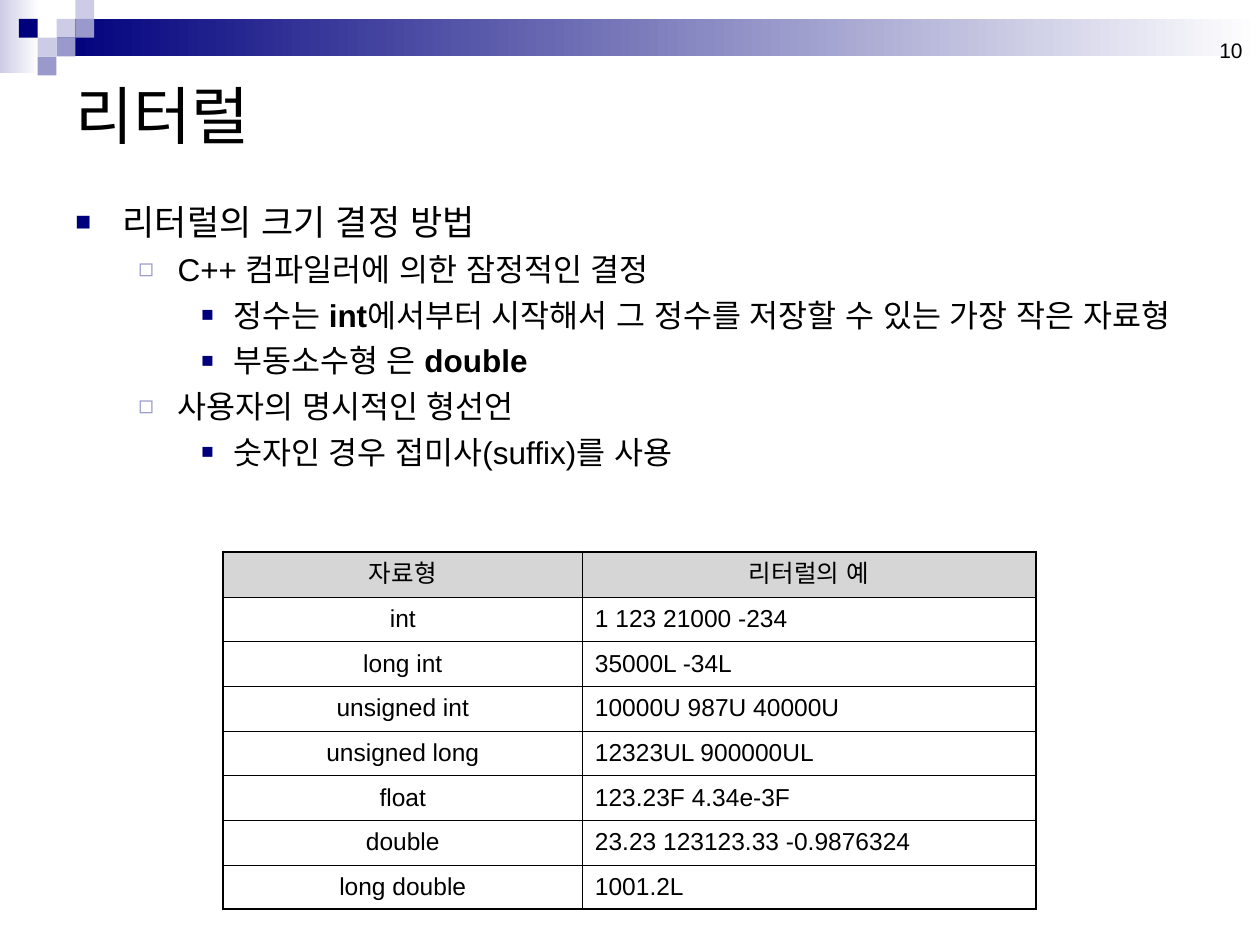
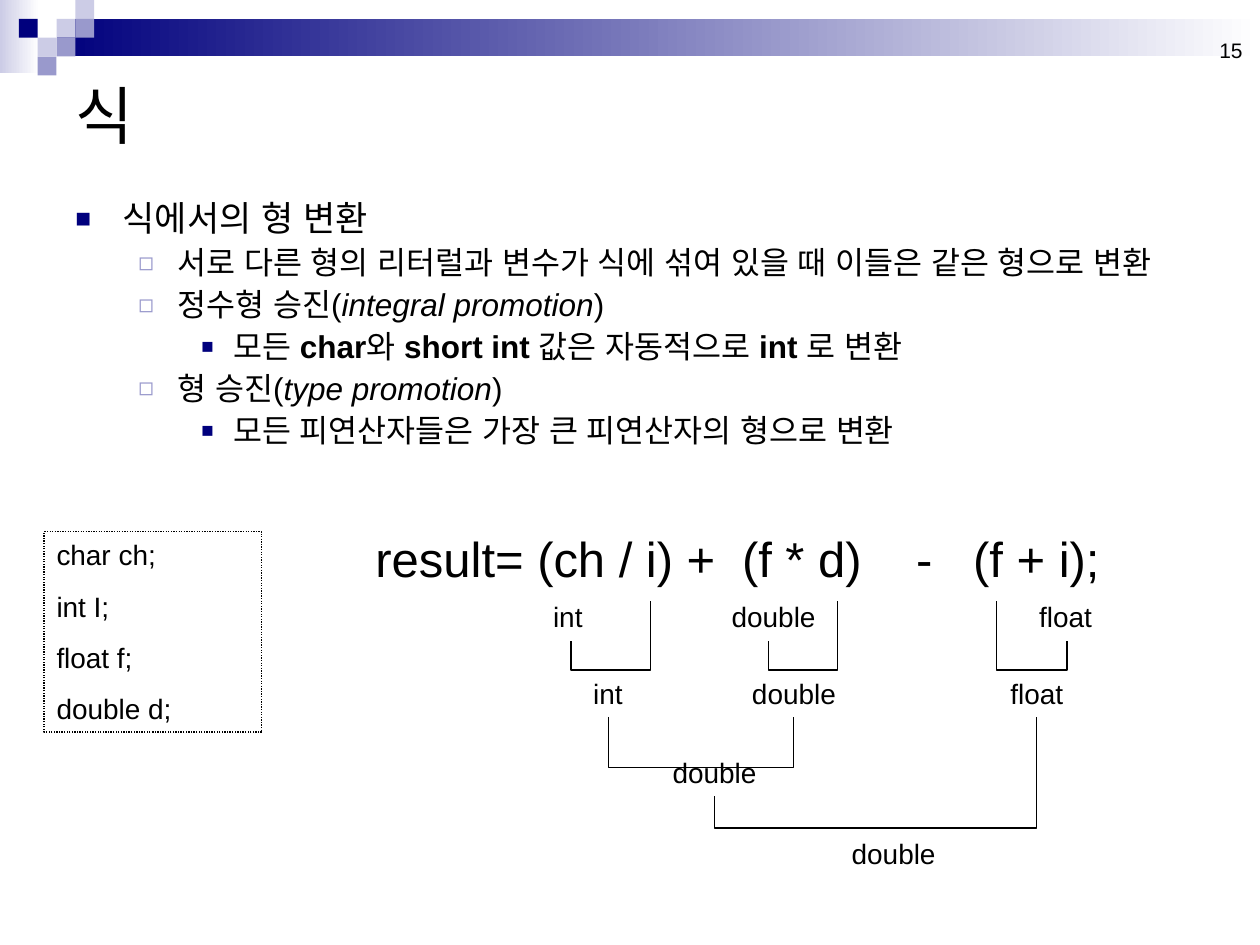
from lxml import etree
from pptx import Presentation
from pptx.dml.color import RGBColor
from pptx.enum.dml import MSO_LINE
from pptx.enum.shapes import MSO_SHAPE as SHAPE
from pptx.enum.text import MSO_ANCHOR as ANCHOR, MSO_AUTO_SIZE as AUTO, PP_ALIGN as ALIGN
from pptx.oxml.ns import qn
from pptx.util import Cm, Pt

# Shared style
BODY_FONT, TITLE_FONT = "Arial", "Noto Sans CJK KR"
BLACK, WHITE, NAVY = "000000", "FFFFFF", "00007D"
LILAC, PALE, GREY = "9999CC", "CCCCE6", "D6D6D6"
SQUARE = 0.38  # side of one corner square, cm
CORNER = [(3, 1, PALE), (4, 0, PALE), (4, 1, LILAC), (2, 2, PALE),
          (1, 1, NAVY), (3, 2, LILAC), (2, 3, LILAC)]  # column, row, colour
# Per level: size, space before, left margin, hanging, bullet, colour, bullet %
LEVELS = [(20, 5, 0.95, 0.95, "■", NAVY, 75),
          (18, 4.5, 2.06, 0.79, "◻", LILAC, 80),
          (18, 4.5, 3.18, 0.64, "■", NAVY, 65)]

# Slide content
LITERAL_POINTS = [
    (0, ["리터럴의 크기 결정 방법"]),
    (1, ["C++ 컴파일러에 의한 잠정적인 결정"]),
    (2, ["정수는 ", ("int", "b"),
         "에서부터 시작해서 그 정수를 저장할 수 있는 가장 작은 자료형"]),
    (2, ["부동소수형 은 ", ("double", "b")]),
    (1, ["사용자의 명시적인 형선언"]),
    (2, ["숫자인 경우 접미사(suffix)를 사용"]),
]
LITERAL_ROWS = [
    ("자료형", "리터럴의 예"),
    ("int", "1 123 21000 -234"),
    ("long int", "35000L -34L"),
    ("unsigned int", "10000U 987U 40000U"),
    ("unsigned long", "12323UL 900000UL"),
    ("float", "123.23F 4.34e-3F"),
    ("double", "23.23 123123.33 -0.9876324"),
    ("long double", "1001.2L"),
]
EXPRESSION_POINTS = [
    (0, ["식에서의 형 변환"]),
    (1, ["서로 다른 형의 리터럴과 변수가 식에 섞여 있을 때 이들은 같은 형으로 변환"]),
    (1, ["정수형 승진(", ("integral promotion", "i"), ")"]),
    (2, ["모든 ", ("char", "b"), "와 ", ("short int ", "b"),
         "값은 자동적으로 ", ("int ", "b"), "로 변환"]),
    (1, ["형 승진(", ("type promotion", "i"), ")"]),
    (2, ["모든 피연산자들은 가장 큰 피연산자의 형으로 변환"]),
]
DECLARATIONS = ["char ch;", "int I;", "float f;", "double d;"]
LABEL_WIDTH = {"int": 1.15, "double": 2.25, "float": 1.62}
TYPE_LABELS = [  # type, left, top
    ("int", 10.9, 11.96), ("double", 14.5, 11.96), ("float", 20.7, 11.96),
    ("int", 11.71, 13.51), ("double", 14.91, 13.51), ("float", 20.12, 13.51),
    ("double", 13.31, 15.11), ("double", 16.92, 16.74),
]
BRACKETS = [  # left, left top, bottom, right, right top
    (11.51, 12.93, 13.51, 13.11, 12.12),
    (15.49, 12.93, 13.51, 16.89, 12.12),
    (20.09, 12.12, 13.51, 21.51, 12.93),
    (12.27, 14.45, 15.47, 16.0, 14.45),
    (14.4, 16.05, 16.69, 20.9, 14.45),
]


def rgb(color):
    return RGBColor.from_string(color)


def box(*lengths):
    return [Cm(n) for n in lengths]


def sub(parent, tag, **attrs):
    el = etree.SubElement(parent, qn(tag))
    for name, value in attrs.items():
        el.set(name, str(value))
    return el


# Text
def add_run(p, text, size, style="", font=BODY_FONT):
    r = p.add_run()
    r.text = text
    f = r.font
    f.name, f.size, f.color.rgb = font, Pt(size), rgb(BLACK)
    f.bold, f.italic = style == "b", style == "i"
    sub(r._r.get_or_add_rPr(), "a:ea", typeface=font)


def add_text(s, at, text, size, font=BODY_FONT, align=ALIGN.LEFT,
             anchor=ANCHOR.TOP, wrap=True):
    tf = s.shapes.add_textbox(*box(*at)).text_frame
    tf.word_wrap, tf.vertical_anchor = wrap, anchor
    if not wrap:
        tf.auto_size = AUTO.SHAPE_TO_FIT_TEXT
    p = tf.paragraphs[0]
    p.alignment = align
    add_run(p, text, size, font=font)
    return p


def next_paragraph(tf, index):
    return tf.add_paragraph() if index else tf.paragraphs[0]


def add_bullets(s, top, height, points, spacing=1.0):
    tf = s.shapes.add_textbox(*box(1.27, top, 22.86, height)).text_frame
    tf.word_wrap = True
    for i, (level, runs) in enumerate(points):
        size, before, margin, hang, char, color, percent = LEVELS[level]
        p = next_paragraph(tf, i)
        p.level, p.space_before, p.line_spacing = level, Pt(before), spacing
        pPr = p._p.get_or_add_pPr()
        pPr.set("marL", str(Cm(margin)))
        pPr.set("indent", str(-Cm(hang)))
        sub(sub(pPr, "a:buClr"), "a:srgbClr", val=color)
        sub(pPr, "a:buSzPct", val=percent * 1000)
        sub(pPr, "a:buFont", typeface=BODY_FONT)
        sub(pPr, "a:buChar", char=char)
        for run in runs:
            text, style = (run, "") if isinstance(run, str) else run
            add_run(p, text, size, style)


# Shapes
def add_rect(s, at, *colors):
    """Fill with one colour, or fade from the first to the second."""
    sp = s.shapes.add_shape(SHAPE.RECTANGLE, *box(*at))
    sp.shadow.inherit = False
    sp.line.fill.background()
    if len(colors) == 2:
        sp.fill.gradient()
        sp.fill.gradient_angle = 0
        for stop, color in zip(sp.fill.gradient_stops, colors):
            stop.color.rgb = rgb(color)
    else:
        sp.fill.solid()
        sp.fill.fore_color.rgb = rgb(colors[0])


def add_outline(sp):
    sp.shadow.inherit = False
    sp.fill.background()
    sp.line.color.rgb, sp.line.width = rgb(BLACK), Pt(0.75)


def add_declarations(s):
    sp = s.shapes.add_shape(SHAPE.RECTANGLE, *box(0.89, 10.72, 4.39, 4.04))
    add_outline(sp)
    sp.line.dash_style = MSO_LINE.ROUND_DOT
    tf = sp.text_frame
    tf.word_wrap, tf.auto_size = True, AUTO.SHAPE_TO_FIT_TEXT
    tf.vertical_anchor = ANCHOR.TOP
    for i, line in enumerate(DECLARATIONS):
        p = next_paragraph(tf, i)
        p.alignment, p.space_before = ALIGN.LEFT, Pt(10)
        add_run(p, line, 16)


def add_bracket(s, left, left_top, bottom, right, right_top):
    start, *rest = [box(*point) for point in (
        (left, left_top), (left, bottom), (right, bottom), (right, right_top))]
    fb = s.shapes.build_freeform(*start)
    fb.add_line_segments(rest, close=False)
    add_outline(fb.convert_to_shape())


def add_expression(s):
    p = add_text(s, (7.32, 10.52, 15.19, 1.45),
                 "result= (ch / i) +\t(f * d)\t-\t(f + i);", 28)
    tabs = sub(p._p.get_or_add_pPr(), "a:tabLst")
    for stop in (7.39, 10.9, 12.05):
        sub(tabs, "a:tab", pos=Cm(stop), algn="l")


# Table
def set_borders(cell, outer):
    tcPr = cell._tc.get_or_add_tcPr()
    for i, side in enumerate("LRTB"):
        ln = etree.Element(qn(f"a:ln{side}"))
        ln.set("w", str(Pt(1.47 if side in outer else 0.06)))
        sub(sub(ln, "a:solidFill"), "a:srgbClr", val=BLACK)
        tcPr.insert(i, ln)


def add_literal_table(s):
    count = len(LITERAL_ROWS)
    table = s.shapes.add_table(count, 2, *box(4.5, 11.13, 16.38, 0.9 * count)).table
    table.first_row = table.horz_banding = False
    for column, width in zip(table.columns, (7.24, 9.14)):
        column.width = Cm(width)
    for i, values in enumerate(LITERAL_ROWS):
        for j, value in enumerate(values):
            cell = table.cell(i, j)
            cell.vertical_anchor = ANCHOR.MIDDLE
            if i == 0:
                cell.fill.solid()
                cell.fill.fore_color.rgb = rgb(GREY)
            else:
                cell.fill.background()
            outer = "LR"[j] + ("T" if i == 0 else "B" if i == count - 1 else "")
            set_borders(cell, outer)
            p = cell.text_frame.paragraphs[0]
            p.alignment = ALIGN.LEFT if i and j else ALIGN.CENTER
            add_run(p, value, 14)


# Frame shared by all slides: band, corner squares, number and title
def add_slide(prs, number, title):
    s = prs.slides.add_slide(prs.slide_layouts[6])
    add_rect(s, (0, 0, 0.79, 1.47), PALE, WHITE)
    add_rect(s, (3 * SQUARE, SQUARE, 24.26, 2 * SQUARE), NAVY, WHITE)
    for column, row, color in CORNER:
        add_rect(s, (column * SQUARE, row * SQUARE, SQUARE, SQUARE), color)
    add_text(s, (19.38, 0.13, 5.92, 1.27), number, 12,
             align=ALIGN.RIGHT, anchor=ANCHOR.BOTTOM)
    add_text(s, (1.27, 1.27, 22.86, 2.06), title, 36, TITLE_FONT,
             anchor=ANCHOR.MIDDLE)
    return s


def main():
    prs = Presentation()
    prs.slide_width, prs.slide_height = Cm(25.4), Cm(19.05)

    # Literals
    s = add_slide(prs, "10", "리터럴")
    add_bullets(s, 3.91, 6.81, LITERAL_POINTS)
    add_literal_table(s)

    # Expressions
    s = add_slide(prs, "15", "식")
    add_bullets(s, 3.94, 6.4, EXPRESSION_POINTS, 0.9)
    add_declarations(s)
    add_expression(s)
    for name, left, top in TYPE_LABELS:
        add_text(s, (left, top, LABEL_WIDTH[name], 0.94), name, 16, wrap=False)
    for bracket in BRACKETS:
        add_bracket(s, *bracket)

    prs.save("out.pptx")


if __name__ == "__main__":
    main()
